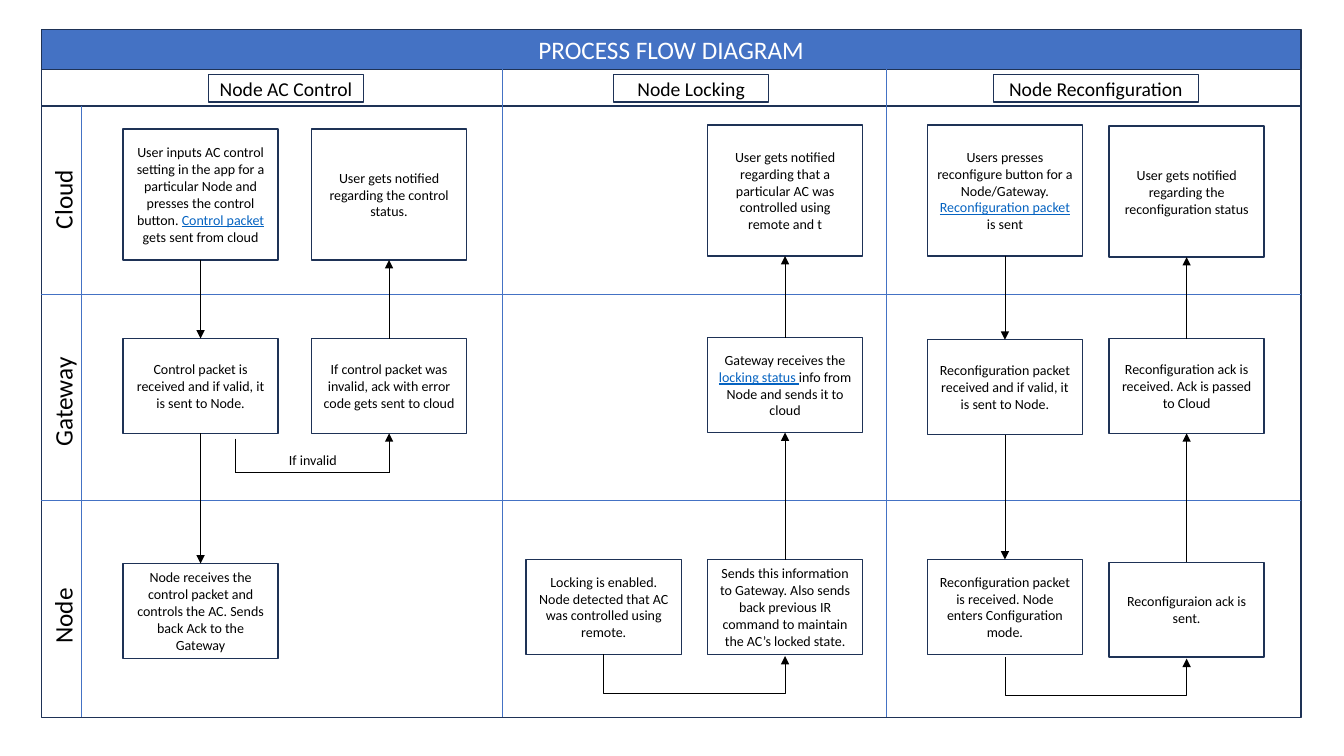
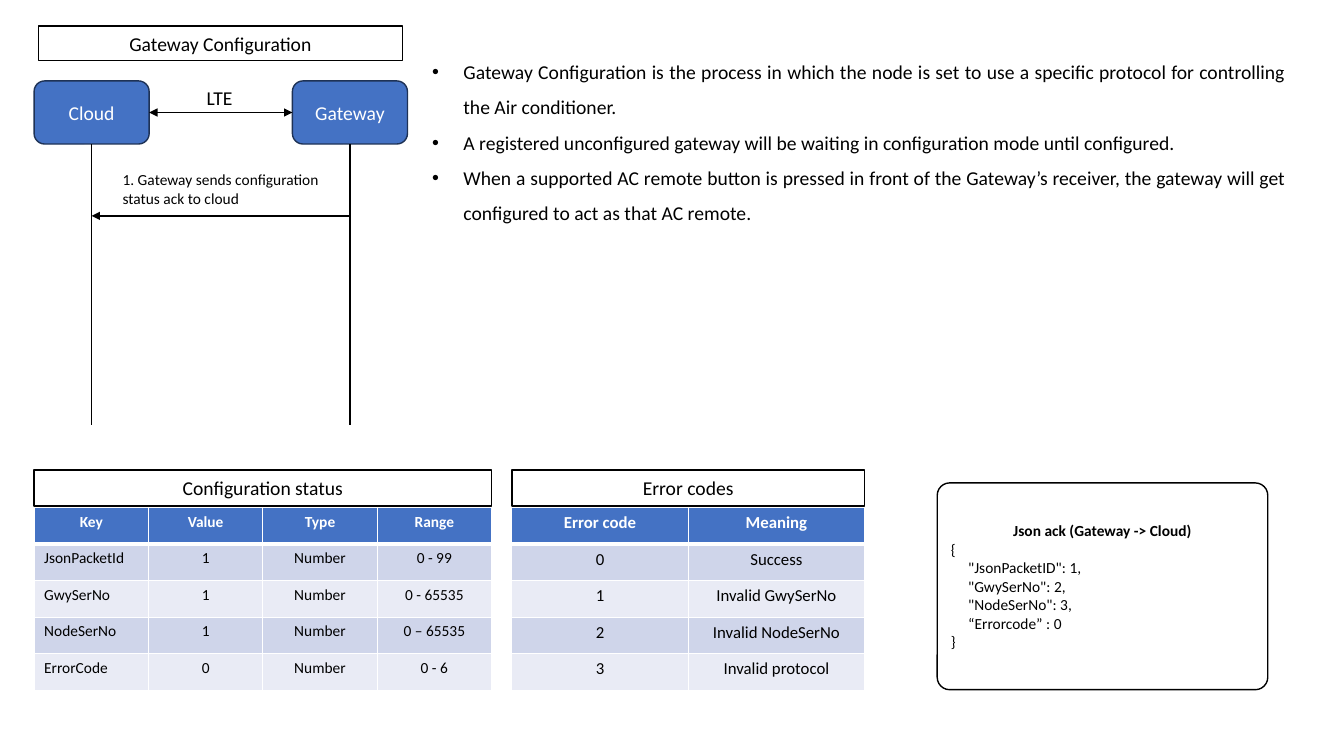
"""Build a process flow diagram and a gateway configuration slide."""
from dataclasses import dataclass

from pptx import Presentation
from pptx import util as u
from pptx.dml.color import RGBColor
from pptx.enum import shapes, text
from pptx.oxml.ns import qn
from lxml import etree

Cm, Pt = u.Cm, u.Pt
CENTER, LEFT, JUSTIFY = text.PP_ALIGN.CENTER, text.PP_ALIGN.LEFT, text.PP_ALIGN.JUSTIFY
RECT, ROUND = shapes.MSO_SHAPE.RECTANGLE, shapes.MSO_SHAPE.ROUNDED_RECTANGLE


@dataclass(frozen=True)
class Theme:
    """Colours, font and type sizes shared by the slides."""
    font: str = "Calibri"
    blue: str = "4472C4"
    navy: str = "1E3256"
    white: str = "FFFFFF"
    black: str = "000000"
    link: str = "0563C1"
    bands: tuple = ("CFD5EA", "E9EBF5")
    banner: int = 18
    heading: int = 14
    table: int = 12
    small: int = 11
    step: int = 10
    thin: float = 0.5
    thick: float = 1


T = Theme()

FRAME_LEFT, FRAME_RIGHT = 1.04, 32.79
BANNER_TOP, HEADER_TOP, LANES_TOP, FRAME_BOTTOM = 0.74, 1.75, 2.67, 18.08
LANE_LINES = (7.42, 12.62)
LABEL_LINE = 2.06
COLUMN_LINES = (12.65, 22.33)
LANES = (("Cloud", 5.03), ("Gateway", 10.13), ("Node", 15.52))
COLUMNS = (("Node AC Control", 7.21, 3.91), ("Node Locking", 17.42, 3.91),
           ("Node Reconfiguration", 27.62, 5.16))
STEP_LEFT = (3.1, 7.85, 13.26, 17.83, 23.37, 27.95)
STEP_WIDTH = 3.91
STEP_HEIGHT = {"cloud": 3.3, "gateway": 2.39, "node": 2.39}
STEPS = {
    ("cloud", 0): (3.25, "User inputs AC control setting in the app for a particular Node "
                   "and presses the control button. ", "Control packet ",
                   "gets sent from cloud"),
    ("cloud", 1): (3.25, "User gets notified regarding the control status."),
    ("cloud", 3): (3.15, "User gets notified regarding that a particular AC was controlled "
                   "using remote and t"),
    ("cloud", 4): (3.15, "Users presses reconfigure button for a Node/Gateway. ",
                   "Reconfiguration packet ", "is sent"),
    ("cloud", 5): (3.18, "User gets notified regarding the reconfiguration status"),
    ("gateway", 0): (8.53, "Control packet is received and if valid, it is sent to Node."),
    ("gateway", 1): (8.53, "If control packet was invalid, ack with error code gets sent "
                     "to cloud"),
    ("gateway", 3): (8.51, "Gateway receives the ", "locking status ",
                     "info from Node and sends it to cloud"),
    ("gateway", 4): (8.56, "Reconfiguration packet received and if valid, it is sent to Node."),
    ("gateway", 5): (8.53, "Reconfiguration ack is received. Ack is passed to Cloud"),
    ("node", 0): (14.2, "Node receives the control packet and controls the AC. Sends back "
                  "Ack to the Gateway"),
    ("node", 2): (14.1, "Locking is enabled. Node detected that AC was controlled using "
                  "remote."),
    ("node", 3): (14.1, "Sends this information to Gateway. Also sends back previous IR "
                  "command to maintain the AC’s locked state."),
    ("node", 4): (14.1, "Reconfiguration packet is received. Node enters Configuration mode."),
    ("node", 5): (14.17, "Reconfiguraion ack is sent."),
}
DOWN = (("cloud", "gateway", 0), ("gateway", "node", 0),
        ("cloud", "gateway", 4), ("gateway", "node", 4))
UP = (("gateway", "cloud", 1), ("gateway", "cloud", 3), ("node", "gateway", 3),
      ("gateway", "cloud", 5), ("node", "gateway", 5))
LOOPS = ((2, 3), (4, 5))

BULLETS = (
    "Gateway Configuration is the process in which the node is set to use a specific "
    "protocol for controlling the Air conditioner.",
    "A registered unconfigured gateway will be waiting in configuration mode until configured.",
    "When a supported AC remote button is pressed in front of the Gateway’s receiver, the "
    "gateway will get configured to act as that AC remote.",
)
ACK = ("Json ack (Gateway -> Cloud)", "{", '     "JsonPacketID": 1,', '     "GwySerNo": 2,',
       '     "NodeSerNo": 3,', "     “Errorcode” : 0", "}")
TABLES = (
    ("Configuration status", 0.86, 11.53, T.small, (LEFT, CENTER, CENTER, CENTER), (
        ("Key", "Value", "Type", "Range"),
        ("JsonPacketId", "1", "Number", "0 - 99"),
        ("GwySerNo", "1", "Number", "0 - 65535"),
        ("NodeSerNo", "1", "Number", "0 – 65535"),
        ("ErrorCode", "0", "Number", "0 - 6"))),
    ("Error codes", 12.9, 8.89, T.table, (CENTER, CENTER), (
        ("Error code", "Meaning"),
        ("0", "Success"),
        ("1", "Invalid GwySerNo"),
        ("2", "Invalid NodeSerNo"),
        ("3", "Invalid protocol"))),
)


def rgb(value):
    """Turn a hex string into a colour."""
    return RGBColor.from_string(value)


def style_font(font, size, color=T.black, bold=False):
    """Apply the shared font with a size and colour."""
    font.name, font.size, font.bold = T.font, Pt(size), bold
    font.color.rgb = rgb(color)


def write(tf, lines, size, color=T.black, align=CENTER, anchor=text.MSO_ANCHOR.MIDDLE):
    """Fill a text frame with one paragraph per line."""
    tf.word_wrap, tf.auto_size = True, text.MSO_AUTO_SIZE.NONE
    tf.vertical_anchor = anchor
    tf.text = "\n".join(lines)
    for p in tf.paragraphs:
        p.alignment = align
        for r in p.runs:
            style_font(r.font, size, color)


def paint(sp, fill, line):
    """Give a shape its fill and outline."""
    sp.fill.solid()
    sp.fill.fore_color.rgb = rgb(fill)
    sp.line.color.rgb = rgb(line)
    sp.line.width = Pt(T.thick)


def add_title(prs, words, box, size, fill, line, color):
    """Add a title-only slide with its placeholder placed and painted."""
    s = prs.slides.add_slide(prs.slide_layouts[5])
    sp = s.shapes.title
    sp.left, sp.top, sp.width, sp.height = map(Cm, box)
    paint(sp, fill, line)
    write(sp.text_frame, [words], size, color)
    return s


def add_box(s, box, words="", size=T.heading, kind=RECT, fill=T.white, line=T.navy,
            color=T.black):
    """Add a preset shape with centred text."""
    sp = s.shapes.add_shape(kind, *map(Cm, box))
    sp.shadow.inherit = False
    paint(sp, fill, line)
    if words:
        write(sp.text_frame, [words], size, color)
    return sp


def add_label(s, box, lines, size, align=CENTER):
    """Add a plain text box."""
    sp = s.shapes.add_textbox(*map(Cm, box))
    write(sp.text_frame, lines, size, align=align, anchor=text.MSO_ANCHOR.TOP)
    return sp


def finish(c, color, width, heads):
    """Style a connector and add its arrowheads."""
    c.line.color.rgb = rgb(color)
    c.line.width = Pt(width)
    sp_pr = c._element.spPr
    for end in heads:
        etree.SubElement(sp_pr.find(qn("a:ln")), qn(f"a:{end}End"), type="triangle")
    etree.SubElement(sp_pr, qn("a:effectLst"))


def add_line(s, begin, end, color=T.black, width=T.thin, heads=()):
    """Draw a line between points or (shape, site) pairs."""
    joined = [not isinstance(e[0], (int, float)) for e in (begin, end)]
    points = [(0, 0) if j else e for j, e in zip(joined, (begin, end))]
    c = s.shapes.add_connector(shapes.MSO_CONNECTOR.STRAIGHT,
                               *(Cm(v) for point in points for v in point))
    if joined[0]:
        c.begin_connect(*begin)
    if joined[1]:
        c.end_connect(*end)
    finish(c, color, width, heads)


def add_loop(s, x1, x2, y, drop=0.97, step=0.04):
    """Draw a U-shaped arrow that drops below y and returns."""
    left, top = (x1 + x2 - step) / 2, y + (step - x2 + x1) / 2
    c = s.shapes.add_connector(shapes.MSO_CONNECTOR.ELBOW, Cm(left), Cm(top),
                               Cm(left + step), Cm(top + x2 - x1))
    xfrm = c._element.spPr.find(qn("a:xfrm"))
    xfrm.set("rot", "16200000")
    xfrm.set("flipH", "1")
    geom = c._element.spPr.find(qn("a:prstGeom"))
    guides = geom.find(qn("a:avLst"))
    if guides is None:
        guides = etree.SubElement(geom, qn("a:avLst"))
    etree.SubElement(guides, qn("a:gd"), name="adj1",
                     fmla=f"val {round(drop / step * 100000)}")
    finish(c, T.black, T.thin, ["tail"])


def add_step(s, row, col):
    """Add one process step, its second run shown as a link."""
    top, *parts = STEPS[row, col]
    sp = add_box(s, (STEP_LEFT[col], top, STEP_WIDTH, STEP_HEIGHT[row]), parts[0], T.step)
    for i, part in enumerate(parts[1:]):
        r = sp.text_frame.paragraphs[0].add_run()
        r.text = part
        style_font(r.font, T.step, T.black if i else T.link)
        r.font.underline = i == 0
    return sp


def add_border(cell, sides):
    """Set white cell borders, widths in points by side."""
    tc_pr = cell._tc.get_or_add_tcPr()
    for i, (side, width) in enumerate(sides.items()):
        ln = etree.Element(qn(f"a:ln{side}"), w=str(Pt(width)))
        fill = etree.SubElement(ln, qn("a:solidFill"))
        etree.SubElement(fill, qn("a:srgbClr"), val=T.white)
        tc_pr.insert(i, ln)


def add_grid(s, heading, left, width, size, aligns, rows, top=11.84, row_height=0.92):
    """Add a captioned table with a blue header and banded rows."""
    add_box(s, (left, top, width, 0.91), heading, line=T.black)
    table = s.shapes.add_table(len(rows), len(aligns), Cm(left), Cm(top + 0.95), Cm(width),
                               Cm(row_height * len(rows))).table
    for i, row in enumerate(rows):
        for j, value in enumerate(row):
            cell, head = table.cell(i, j), i == 0
            cell.text = value
            p = cell.text_frame.paragraphs[0]
            p.alignment = CENTER if head else aligns[j]
            style_font(p.runs[0].font, size, T.white if head else T.black, head)
            cell.fill.solid()
            cell.fill.fore_color.rgb = rgb(T.blue if head else T.bands[(i - 1) % 2])
            add_border(cell, {"L": 1, "R": 1, "T": 3 if i == 1 else 1, "B": 3 if head else 1})


def build_flow(prs):
    """Build the swimlane diagram."""
    width = FRAME_RIGHT - FRAME_LEFT
    s = add_title(prs, "PROCESS FLOW DIAGRAM",
                  (FRAME_LEFT, BANNER_TOP, width, HEADER_TOP - BANNER_TOP),
                  T.banner, T.blue, T.navy, T.white)
    for top, bottom in ((LANES_TOP, FRAME_BOTTOM), (HEADER_TOP, LANES_TOP)):
        add_box(s, (FRAME_LEFT, top, width, bottom - top))
    for y in LANE_LINES:
        add_line(s, (FRAME_LEFT, y), (FRAME_RIGHT, y), T.blue)
    add_line(s, (LABEL_LINE, LANES_TOP), (LABEL_LINE, FRAME_BOTTOM), T.blue)
    for x in COLUMN_LINES:
        add_line(s, (x, HEADER_TOP), (x, FRAME_BOTTOM), T.blue)
    for name, middle in LANES:
        add_label(s, (-0.21, middle - 0.51, 3.58, 1.02), [name], T.banner).rotation = 270
    for name, middle, w in COLUMNS:
        add_box(s, (middle - w / 2, 1.88, w, 0.69), name)

    steps = {key: add_step(s, *key) for key in STEPS}
    for arrows, out, into in ((DOWN, 2, 0), (UP, 0, 2)):
        for start, end, col in arrows:
            add_line(s, (steps[start, col], out), (steps[end, col], into), heads=["tail"])
    for a, b in LOOPS:
        bottom = max(STEPS["node", col][0] for col in (a, b)) + STEP_HEIGHT["node"]
        add_loop(s, *(STEP_LEFT[col] + STEP_WIDTH / 2 for col in (a, b)), bottom)

    add_label(s, (6.78, 11.25, 2.21, 0.69), ["If invalid"], T.step)
    turn = STEP_LEFT[1] + STEP_WIDTH / 2
    add_line(s, (5.94, 11.05), (5.94, 11.91))
    add_line(s, (5.94, 11.91), (turn, 11.91))
    add_line(s, (turn, 11.91), (steps["gateway", 1], 2), heads=["tail"])


def build_configuration(prs):
    """Build the sequence diagram, bullets, tables and message."""
    s = add_title(prs, "Gateway Configuration", (0.97, 0.66, 9.17, 0.86),
                  T.heading, T.white, T.black, T.black)
    ends = {}
    for name, left in (("Cloud", 0.86), ("Gateway", 7.37)):
        sp = ends[name] = add_box(s, (left, 2.04, 2.9, 1.59), name, kind=ROUND,
                                  fill=T.blue, color=T.white)
        add_line(s, (sp, 2), (left + 1.45, 10.72), width=T.thick)
    add_line(s, (ends["Cloud"], 3), (ends["Gateway"], 1), width=T.thick,
             heads=["head", "tail"])
    add_label(s, (4.47, 2.03, 2.13, 0.86), ["LTE"], T.heading)
    add_line(s, (8.82, 5.44), (2.31, 5.44), width=T.thick, heads=["tail"])
    add_label(s, (2.84, 4.17, 5.82, 1.19),
              ["1. Gateway sends configuration status ack to cloud"], T.small, LEFT)

    for table in TABLES:
        add_grid(s, *table)

    sp = add_box(s, (23.62, 12.17, 8.33, 5.21), kind=ROUND, line=T.black)
    sp.adjustments[0] = 0.06
    write(sp.text_frame, ACK, T.small, align=JUSTIFY)
    p = sp.text_frame.paragraphs[0]
    p.alignment, p.runs[0].font.bold = CENTER, True

    sp = add_label(s, (10.64, 1.09, 22.02, 4.65), BULLETS, T.heading, JUSTIFY)
    for p in sp.text_frame.paragraphs:
        p.line_spacing = 1.5
        p_pr = p._p.get_or_add_pPr()
        p_pr.set("marL", str(Cm(0.79)))
        p_pr.set("indent", str(-Cm(0.79)))
        etree.SubElement(p_pr, qn("a:buFont"), typeface="Arial")
        etree.SubElement(p_pr, qn("a:buChar"), char="•")


def main():
    """Create and save the presentation."""
    prs = Presentation()
    prs.slide_width, prs.slide_height = Cm(33.87), Cm(19.05)
    build_flow(prs)
    build_configuration(prs)
    prs.save("out.pptx")


if __name__ == "__main__":
    main()
